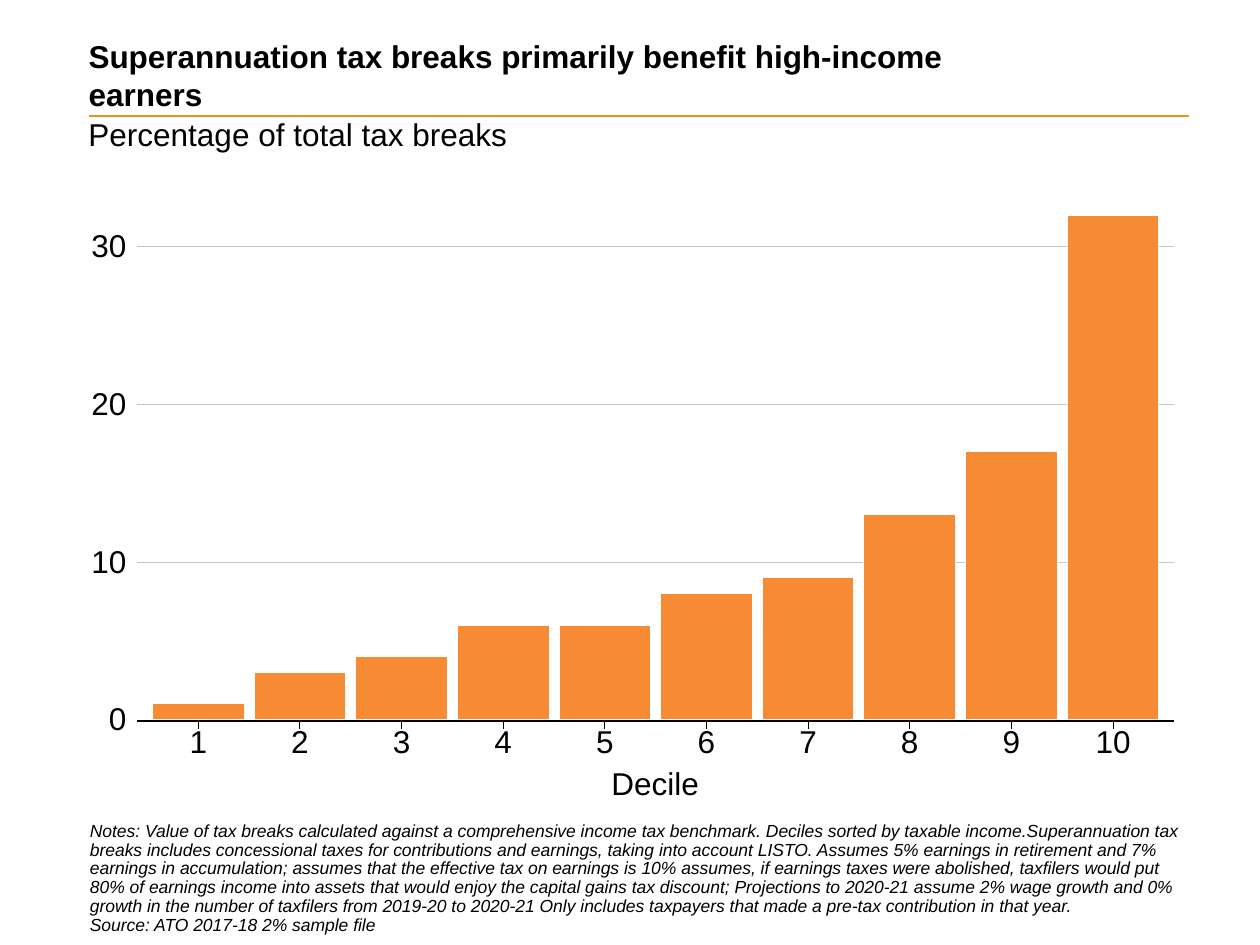
from lxml import etree
from pptx import Presentation
from pptx.chart.data import CategoryChartData as ChartData
from pptx.dml.color import RGBColor
from pptx.enum.chart import XL_CHART_TYPE as ChartType, XL_TICK_MARK as Tick
from pptx.enum.shapes import MSO_CONNECTOR as Connector
from pptx.enum.text import MSO_ANCHOR as Anchor
from pptx.oxml import parse_xml
from pptx.oxml.ns import nsdecls, qn
from pptx.util import Pt


def colour(value):
    return RGBColor.from_string(value)


def manual_layout(left, top, width=None, height=None, inner=False):
    """Chart layout in fractions of the chart frame."""
    parts = [("xMode", "edge"), ("yMode", "edge"), ("x", left), ("y", top)]
    if inner:
        parts = [("layoutTarget", "inner")] + parts + [("w", width), ("h", height)]
    body = "".join(f'<c:{tag} val="{value}"/>' for tag, value in parts)
    return parse_xml(f'<c:layout {nsdecls("c")}><c:manualLayout>{body}'
                     '</c:manualLayout></c:layout>')


class SlideBuilder:
    font = "Arial"
    ink = "000000"
    rule = "F3901D"
    bar = "F68B33"
    grid = "C3C7CB"
    paper = "FFFFFF"

    def __init__(self, page):
        self.page = page

    def style(self, font, size, bold=False, italic=False):
        font.name, font.size = self.font, Pt(size)
        font.bold, font.italic = bold, italic
        font.color.rgb = colour(self.ink)

    def stroke(self, line, shade, width):
        line.color.rgb = colour(shade)
        line.width = Pt(width)

    def text(self, frame, paragraphs, size, anchor=Anchor.TOP, spacing=1.0, **look):
        box = self.page.shapes.add_textbox(*map(Pt, frame)).text_frame
        box.word_wrap = True
        box.vertical_anchor = anchor
        box.margin_left = box.margin_right = box.margin_top = box.margin_bottom = 0
        for index, wording in enumerate(paragraphs):
            para = box.add_paragraph() if index else box.paragraphs[0]
            para.line_spacing = spacing
            span = para.add_run()
            span.text = wording
            self.style(span.font, size, **look)

    def line(self, start, end, shade, width):
        line = self.page.shapes.add_connector(
            Connector.STRAIGHT, *map(Pt, start + end))
        self.stroke(line.line, shade, width)
        etree.SubElement(line._element.spPr, qn("a:effectLst"))

    def column_chart(self, frame, plot, title_at, names, series, values, top_value,
                     axis_title):
        data = ChartData()
        data.categories = names
        data.add_series(series, values)
        chart = self.page.shapes.add_chart(
            ChartType.COLUMN_CLUSTERED, *map(Pt, frame), data).chart
        chart.has_legend = chart.has_title = False
        self.style(chart.font, 18)

        # Clear background, so that the grid behind shows
        chart._chartSpace.chart.addnext(parse_xml(
            f'<c:spPr {nsdecls("c", "a")}><a:noFill/><a:ln><a:noFill/></a:ln></c:spPr>'))

        # Columns
        columns = chart.plots[0]
        columns.vary_by_categories = False
        columns.gap_width = 11
        fill = columns.series[0].format.fill
        fill.solid()
        fill.fore_color.rgb = colour(self.bar)
        self.stroke(columns.series[0].format.line, self.paper, 0.56)

        # Value axis
        scale = chart.value_axis
        scale.minimum_scale, scale.maximum_scale, scale.major_unit = 0, top_value, 10
        scale.has_major_gridlines = False
        scale.major_tick_mark = Tick.OUTSIDE
        scale.format.line.fill.background()
        scale.tick_labels.number_format = "0_)"
        scale.tick_labels.number_format_is_linked = False

        # Category axis
        axis = chart.category_axis
        axis.major_tick_mark = Tick.NONE
        axis.format.line.fill.background()
        span = axis.axis_title.text_frame.paragraphs[0].add_run()
        span.text = axis_title
        self.style(span.font, 18)

        # Fixed places for the plot and the axis title
        left, top, width, height = frame

        def share(x, y):
            return round((x - left) / width, 4), round((y - top) / height, 4)

        area = chart._chartSpace.chart.plotArea
        for old in area.findall(qn("c:layout")):
            area.remove(old)
        area.insert(0, manual_layout(*share(*plot[:2]), round(plot[2] / width, 4),
                                     round(plot[3] / height, 4), inner=True))
        title = axis.axis_title._element
        for old in title.findall(qn("c:layout")):
            title.remove(old)
        title.find(qn("c:tx")).addnext(manual_layout(*share(*title_at)))


def main():
    deck = Presentation()
    deck.slide_width, deck.slide_height = Pt(720), Pt(540)
    slide = SlideBuilder(deck.slides.add_slide(deck.slide_layouts[6]))

    # Heading
    slide.line((51, 66.4), (679.3, 66.4), slide.rule, 1.5)
    slide.text((50.6, 15.5, 510.5, 49),
               ["Superannuation tax breaks primarily benefit high-income earners"],
               18, Anchor.BOTTOM, bold=True)
    slide.text((50.6, 68, 629, 30), ["Percentage of total tax breaks"], 18, spacing=0.9)

    # Grid behind the columns
    left, top, width, height = plot = (84.3, 114, 580.8, 298)
    base, top_value = top + height, 33
    grid_left, grid_right = 78.4, 671
    for value in range(0, top_value, 10):
        level = base - height * value / top_value
        slide.line((grid_left, level), (grid_right, level), slide.grid, 0.56)

    # Tax breaks by decile
    shares = [1, 3, 4, 6, 6, 8, 9, 13, 17, 32]
    slide.column_chart(
        frame=(50.4, 108, 629.3, 356), plot=plot, title_at=(346.2, 433.7),
        names=[str(decile) for decile in range(1, len(shares) + 1)],
        series="Percentage of total tax breaks", values=shares,
        top_value=top_value, axis_title="Decile")

    # Base line with a tick under the middle of each column
    slide.line((grid_left, base), (grid_right, base), slide.ink, 0.75)
    step = width / len(shares)
    for index in range(len(shares)):
        middle = left + step * (index + 0.5)
        slide.line((middle, base), (middle, base + 4.6), slide.ink, 0.56)

    # Notes and source
    slide.text((51.4, 469.6, 629, 65), [
        "Notes: Value of tax breaks calculated against a comprehensive income tax "
        "benchmark. Deciles sorted by taxable income.Superannuation tax breaks "
        "includes concessional taxes for contributions and earnings, taking into "
        "account LISTO. Assumes 5% earnings in retirement and 7% earnings in "
        "accumulation; assumes that the effective tax on earnings is 10% assumes, if "
        "earnings taxes were abolished, taxfilers would put 80% of earnings income "
        "into assets that would enjoy the capital gains tax discount; Projections to "
        "2020-21 assume 2% wage growth and 0% growth in the number of taxfilers from "
        "2019-20 to 2020-21 Only includes taxpayers that made a pre-tax contribution "
        "in that year.",
        "Source: ATO 2017-18 2% sample file"], 10, spacing=Pt(10.8), italic=True)

    deck.save("out.pptx")


if __name__ == "__main__":
    main()
